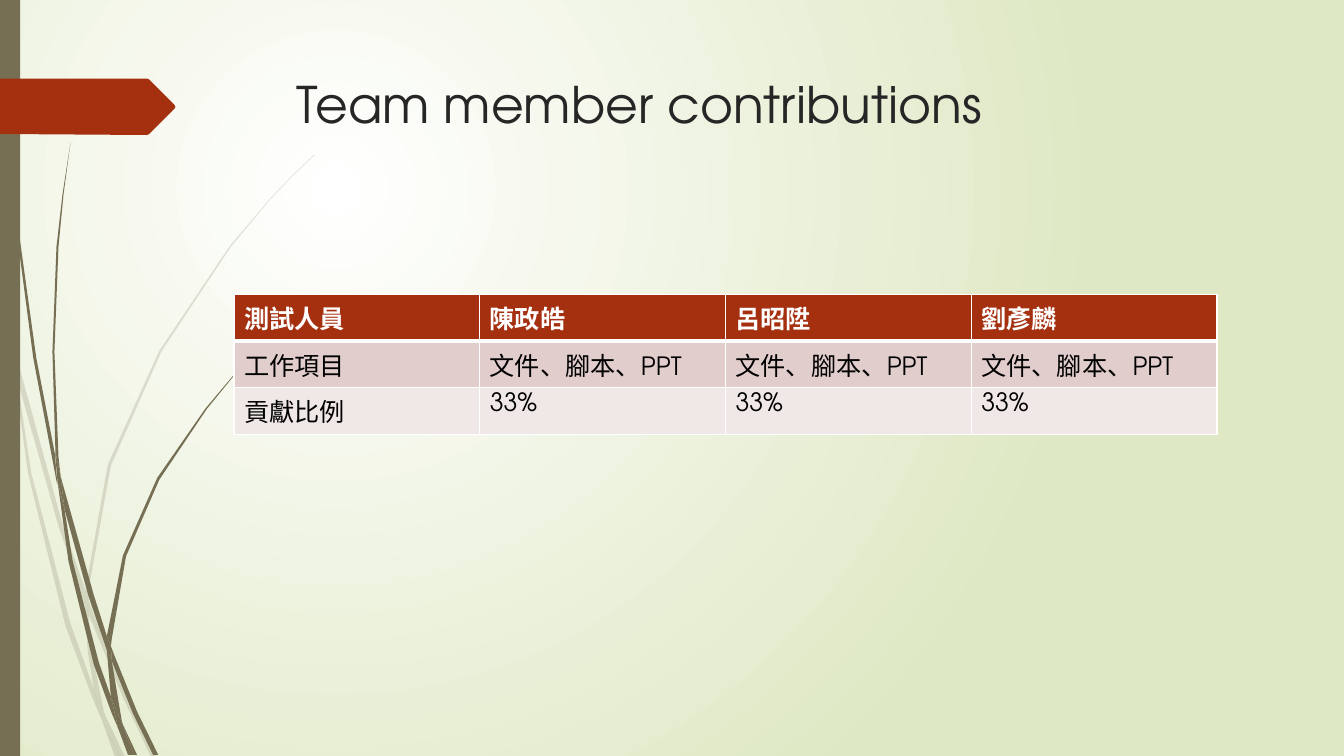
from itertools import product

from lxml.etree import SubElement
from pptx import Presentation
from pptx.dml.color import RGBColor
from pptx.enum.shapes import MSO_SHAPE
from pptx.enum.text import MSO_ANCHOR, PP_ALIGN
from pptx.oxml.ns import qn
from pptx.util import Inches, Pt

FONT = "TeX Gyre Adventor"
TITLE = "Team member contributions"
ROWS = [
    ["測試人員", "陳政皓", "呂昭陞", "劉彥麟"],
    ["工作項目"] + ["文件、腳本、PPT"] * 3,
    ["貢獻比例"] + ["33%"] * 3,
]
BANDS = ["A53010", "E1CDCC", "F0E8E7"]
STEM, RED, WHITE = "766F54", "A53010", "FFFFFF"
GLOW = [WHITE, "DFE8C4"]
CENTER = {"l": "50000", "t": "50000", "r": "100000", "b": "100000"}

PALE = [
    "11 350 9 322 0 282 0 299 10 344",
    "58 522 84 599 85 586 62 520 14 345 17 376",
    "92 607 88 596 88 610 123 694 150 751 155 751 127 692",
    "119 751 124 751 105 711",
    "93 683 70 619 31 469 17 376 11 350 28 470 65 621 92 693 101 714 99 707",
    "84 599 87 646 93 683 96 692 105 711 103 706 91 646 88 610 88 608",
    "88 584 110 462 160 349 229 245 268 198 290 175 312 154 312 153 289 175 "
    "268 197 228 244 158 348 107 461 85 584 85 586 88 596",
    "101 714 114 751 119 751",
    "88 608 88 610 88 596 85 586 84 599",
    "96 692 93 683 99 707 101 714 119 751 105 711",
]
DARK = [
    "7 110 17 233 33 355 56 477 57 481 55 457 55 453 36 355 19 232 8 109 5 48 4 0 3 0 4 48",
    "88 592 106 645 106 633 106 631 93 590 60 472 64 505",
    "113 649 110 641 111 656 132 708 152 749 157 749 136 706",
    "110 691 98 657 72 556 64 505 57 477 68 557 93 659 111 708 117 722 116 717",
    "60 472 58 453 54 349 58 245 63 193 70 141 62 193 56 245 52 349 55 449",
    "133 749 136 749 122 719",
    "57 477 64 505 60 472 55 449 55 453",
    "111 633 125 552 158 476 205 406 231 374 245 359 261 344 260 344 245 358 "
    "231 373 204 405 156 474 122 551 106 631 110 641",
    "117 722 127 749 131 749",
    "106 645 110 691 116 706 122 719 121 716 111 656 109 651",
    "106 645 109 651 111 656 110 641 106 631 106 633",
    "116 706 110 691 116 717 117 722 130 749 133 749 122 719",
]
ARROW = "0 78 146 78 148 79 173 104 174 106 173 108 148 133 146 134 0 133"


def hue(code):
    return RGBColor.from_string(code)


def put(part, **looks):
    for name, value in looks.items():
        setattr(part, name, value)


def paint(shape, code, alpha=None):
    shape.shadow.inherit = False
    shape.fill.solid()
    shape.fill.fore_color.rgb = hue(code)
    shape.line.fill.background()
    if alpha:
        tint = next(shape._element.spPr.iter(qn("a:srgbClr")))
        SubElement(tint, qn("a:alpha"), val=str(alpha * 1000))


def draw(shapes, text, code, alpha=None):
    nums = [Inches(int(n) / 100) for n in text.split()]
    dots = list(zip(nums[::2], nums[1::2]))
    pen = shapes.build_freeform(*dots[0], scale=1.0)
    pen.add_line_segments(dots[1:], close=True)
    paint(pen.convert_to_shape(), code, alpha)


def write(frame, text, shade, **looks):
    frame.text = text
    line = frame.paragraphs[0]
    line.alignment = PP_ALIGN.LEFT
    font = line.runs[0].font
    put(font, name=FONT, **looks)
    font.color.rgb = hue(shade)


def edge(cell, side, width):
    rim = SubElement(cell._tc.get_or_add_tcPr(), qn("a:ln" + side), w=str(Pt(width)))
    fill = SubElement(rim, qn("a:solidFill"))
    SubElement(fill, qn("a:srgbClr"), val=WHITE)


deck = Presentation()
put(deck, slide_width=Inches(13.33), slide_height=Inches(7.5))
slide = deck.slides.add_slide(deck.slide_layouts[5])
shapes = slide.shapes

back = slide.background.fill
back.gradient()
for stop, code in zip(back.gradient_stops, GLOW):
    stop.color.rgb = hue(code)
slant = next(slide._element.iter(qn("a:lin")))
grad = slant.getparent()
grad.remove(slant)
ring = SubElement(grad, qn("a:path"), path="circle")
SubElement(ring, qn("a:fillToRect"), **CENTER)

for wisps, alpha in ((PALE, 20), (DARK, None)):
    group = shapes.add_group_shape()
    for wisp in wisps:
        draw(group.shapes, wisp, STEM, alpha)
paint(shapes.add_shape(MSO_SHAPE.RECTANGLE, 0, 0, Inches(0.2), Inches(7.5)), STEM)
draw(shapes, ARROW, RED)

title = shapes.title
put(title, left=Inches(2.84), top=Inches(0.68), width=Inches(9.75), height=Inches(1.4))
write(title.text_frame, TITLE, "262626", size=Pt(36))
put(title.text_frame, word_wrap=True, vertical_anchor=MSO_ANCHOR.TOP)

high, wide = len(ROWS), len(ROWS[0])
table = shapes.add_table(high, wide, Inches(2.32), Inches(2.92), Inches(9.75), Inches(1.22)).table
for r, c in product(range(high), range(wide)):
    cell = table.cell(r, c)
    write(cell.text_frame, ROWS[r][c], "000000" if r else WHITE, size=Pt(18), bold=r == 0)
    for side, width in (("L", 1), ("R", 1), ("T", 3 if r == 1 else 1), ("B", 1 if r else 3)):
        edge(cell, side, width)
    cell.fill.solid()
    cell.fill.fore_color.rgb = hue(BANDS[r])

deck.save("out.pptx")
